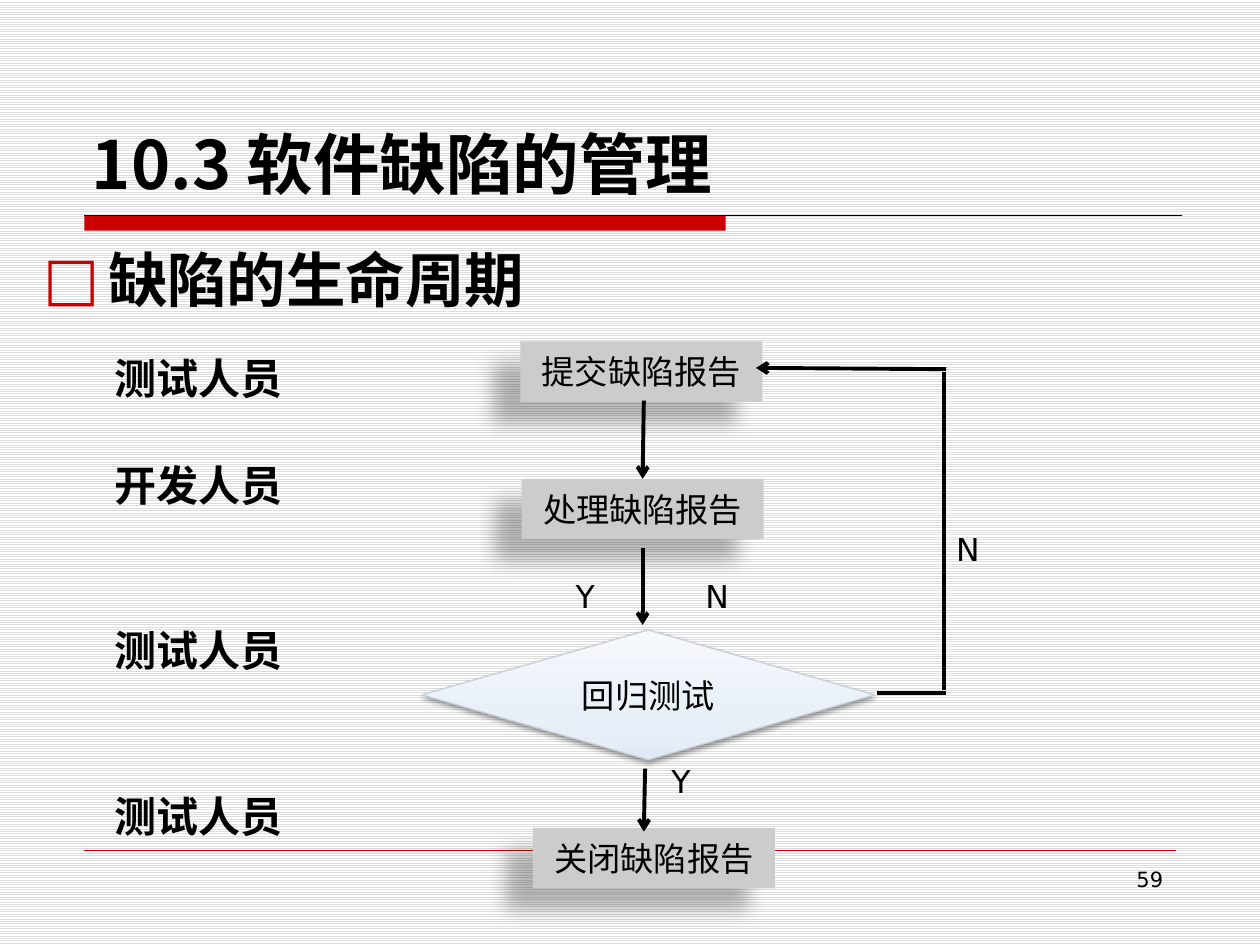
from copy import deepcopy

from lxml.etree import SubElement as Sub
from pptx import Presentation
from pptx.dml.color import RGBColor
from pptx.enum.dml import MSO_PATTERN as Pattern
from pptx.enum.shapes import MSO_CONNECTOR as Link, MSO_SHAPE as Form
from pptx.enum.text import MSO_ANCHOR as Anchor, MSO_AUTO_SIZE as Fit, PP_ALIGN as Align
from pptx.oxml.ns import qn
from pptx.util import Inches, Pt

COLS, ROWS = 100, 75
CELL = Inches(10) / COLS
CJK, LATIN = "Noto Sans CJK SC", "DejaVu Sans"
RED, BLACK, GREY = "CC0000", "000000", "CCCCCC"


def cells(*counts):
    return [round(n * CELL) for n in counts]


def color(code):
    return RGBColor.from_string(code)


def style(para, size, face=CJK, bold=False, align=Align.LEFT):
    para.alignment = align
    font = para.font
    font.size, font.name, font.bold = Pt(size), face, bold
    font.color.rgb = color(BLACK)
    Sub(para._p.find(".//" + qn("a:defRPr")), qn("a:ea"), typeface=CJK)


def text(slide, box, words, wrap=True):
    frame = slide.shapes.add_textbox(*cells(*box)).text_frame
    frame.word_wrap = wrap
    frame.text = words
    return frame


def line(slide, start, end, width, tint=BLACK, arrow=False):
    link = slide.shapes.add_connector(Link.STRAIGHT, *cells(*start, *end))
    link.line.width = Pt(width)
    link.line.color.rgb = color(tint)
    props = link._element.spPr
    if arrow:
        Sub(props.find(qn("a:ln")), qn("a:tailEnd"), type="arrow")
    Sub(props, qn("a:effectLst"))


def shade(shape, alpha, blur, dist, angle):
    """Add a black outer shadow: alpha in percent, blur and distance in points."""
    shape.shadow.inherit = False
    cast = Sub(shape._element.spPr.find(qn("a:effectLst")), qn("a:outerShdw"),
               blurRad=str(Pt(blur)), dist=str(Pt(dist)),
               dir=str(angle * 60000), algn="ctr", rotWithShape="0")
    tint = Sub(cast, qn("a:srgbClr"), val=BLACK)
    Sub(tint, qn("a:alpha"), val=str(alpha * 1000))


def node(slide, form, box, words):
    shape = slide.shapes.add_shape(form, *cells(*box))
    frame = shape.text_frame
    frame.text = words
    frame.vertical_anchor = Anchor.MIDDLE
    style(frame.paragraphs[0], 19, align=Align.CENTER)
    return shape


def step(slide, box, words):
    shape = node(slide, Form.RECTANGLE, box, words)
    shape.fill.solid()
    shape.fill.fore_color.rgb = color(GREY)
    shape.line.fill.background()
    shade(shape, 28, 11.8, 19.7, 141)


def choice(slide, box, words):
    shape = node(slide, Form.DIAMOND, box, words)
    fill = shape.fill
    fill.gradient()
    fill.gradient_angle = 90
    first = shape._element.spPr.find(".//" + qn("a:gs"))
    first.addnext(deepcopy(first))
    stops = zip(fill.gradient_stops, (0, 0.35, 1), ("E2EBF5", "EAF0F8", "F6F9FD"))
    for stop, place, code in stops:
        stop.position = place
        stop.color.rgb = color(code)
    shape.line.color.rgb = color("C9D0D8")
    shape.line.width = Pt(0.75)
    shade(shape, 38, 3.1, 1.6, 90)


def header(slide, box):
    x, y, w, h = box
    title = slide.shapes.title
    title.left, title.top, title.width, title.height = cells(*box)
    frame = title.text_frame
    frame.text = "10.3 软件缺陷的管理"
    frame.auto_size = Fit.NONE
    frame.vertical_anchor = Anchor.BOTTOM
    style(frame.paragraphs[0], 38, bold=True)
    left, top = x + 0.4, y + h + 0.5
    bar = slide.shapes.add_shape(Form.RECTANGLE, *cells(left, top, 50.9, 1.2))
    bar.shadow.inherit = False
    bar.fill.solid()
    bar.fill.fore_color.rgb = color(RED)
    bar.line.fill.background()
    line(slide, (left, top), (x + w, top), 0.75)


def topic(slide, box):
    para = text(slide, box, "缺陷的生命周期", wrap=False).paragraphs[0]
    props = para._p.get_or_add_pPr()
    indent = Inches(0.51)
    props.set("marL", str(indent))
    props.set("indent", str(-indent))
    Sub(Sub(props, qn("a:buClr")), qn("a:srgbClr"), val=RED)
    Sub(props, qn("a:buFont"), typeface=LATIN)
    Sub(props, qn("a:buChar"), char="□")
    style(para, 34, LATIN, True, Align.JUSTIFY)


def roles(slide, box):
    names = "测试人员", "开发人员", "测试人员", "测试人员"
    frame = text(slide, box, "\n".join(names))
    for para, gap in zip(frame.paragraphs, (0, 32, 66, 66)):
        para.space_before = Pt(gap)
        style(para, 24, bold=True)


def flow(slide, box):
    left, top, wide, _ = box

    def at(x, y):
        return left + x, top + y

    for x, y, words in ((7.8, 0, "提交缺陷报告"), (7.9, 10.9, "处理缺陷报告"),
                        (8.8, 38.6, "关闭缺陷报告")):
        step(slide, (*at(x, y), 19.2, 4.8), words)
    choice(slide, (*at(0, 22.9), 35.9, 10.3), "回归测试")

    for start, end, arrow in (((17.6, 4.7), (17.5, 10.9), True),
                              ((17.5, 16.4), (17.5, 22.5), True),
                              ((17.7, 33.9), (17.6, 38.9), True),
                              ((36.1, 27.9), (wide, 27.9), False),
                              ((wide - 0.2, 27.7), (wide - 0.2, 2.4), False),
                              ((wide, 2.2), (26.5, 2.1), True)):
        line(slide, at(*start), at(*end), 2.25, arrow=arrow)

    for x, y, words in ((11.2, 18.2, "Y\tN"), (18.8, 32.9, "Y"), (41.4, 14.5, "N")):
        para = text(slide, (*at(x, y), 16.1, 4.2), words).paragraphs[0]
        if "\t" in words:
            tabs = Sub(para._p.get_or_add_pPr(), qn("a:tabLst"))
            Sub(tabs, qn("a:tab"), pos=str(Inches(1.03)), algn="l")
        style(para, 18, LATIN)


def footer(slide, box):
    x, y, w, h = box
    line(slide, (x, y), (x + w, y), 0.25, RED)
    para = text(slide, (x + w - 21.7, y + 0.8, 21.7, h), "59").paragraphs[0]
    style(para, 12, LATIN, align=Align.RIGHT)


def main():
    deck = Presentation()
    deck.slide_width, deck.slide_height = cells(COLS, ROWS)
    slide = deck.slides.add_slide(deck.slide_layouts[5])
    fill = slide.background.fill
    fill.patterned()
    fill.pattern = Pattern.LIGHT_HORIZONTAL
    fill.fore_color.rgb = color("DDDDDD")
    fill.back_color.rgb = color("FFFFFF")

    header(slide, (6.3, 3.3, 87.5, 13.3))
    footer(slide, (6.7, 67.5, 86.6, 5.2))
    roles(slide, (8.1, 27.5, 24, 44))
    flow(slide, (33.5, 27.1, 41.6, 43.4))
    topic(slide, (2.5, 18.8, 40.7, 6.7))
    deck.save("out.pptx")


if __name__ == "__main__":
    main()
